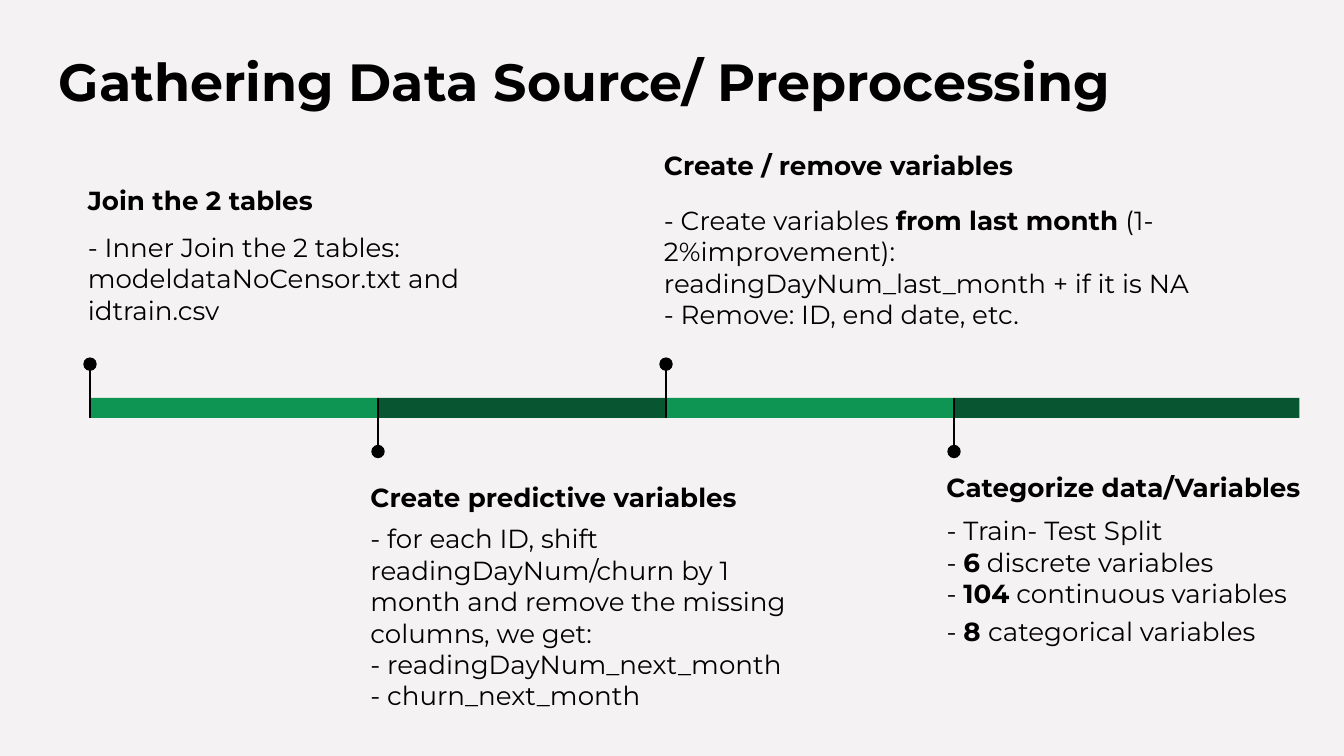
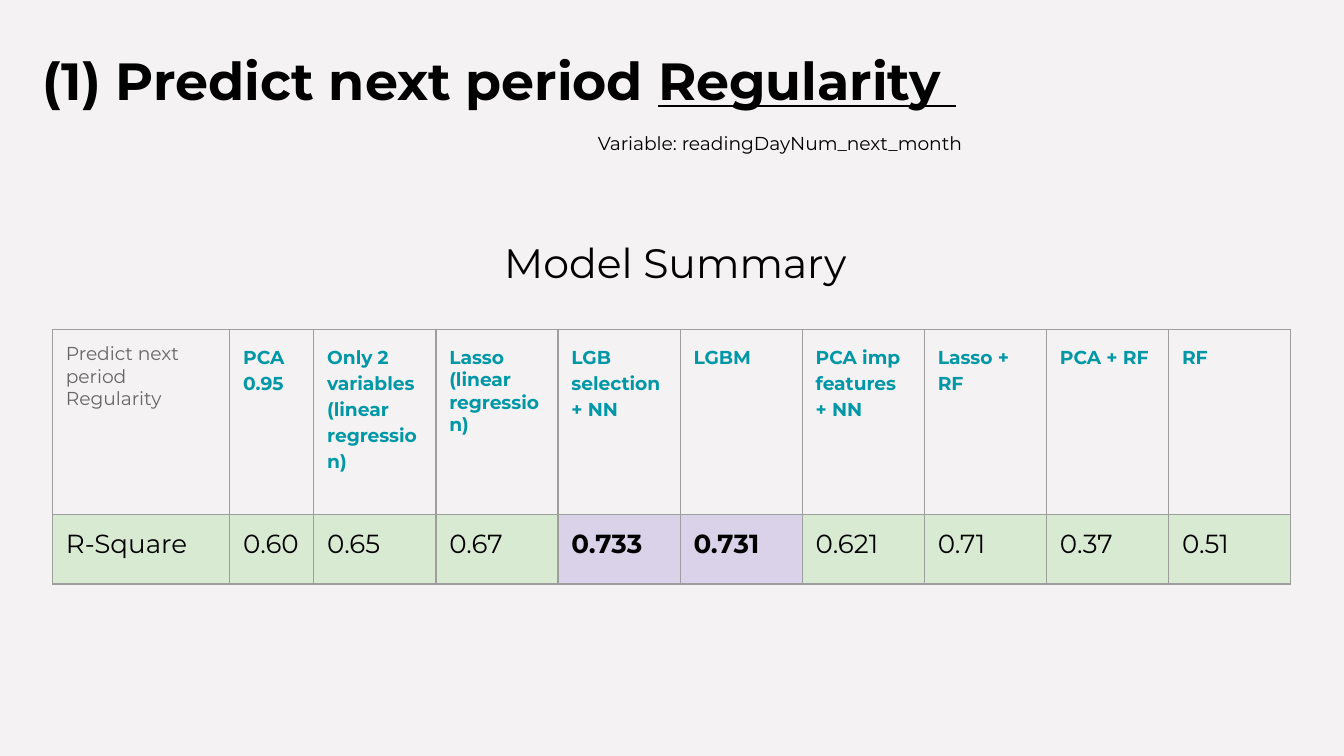
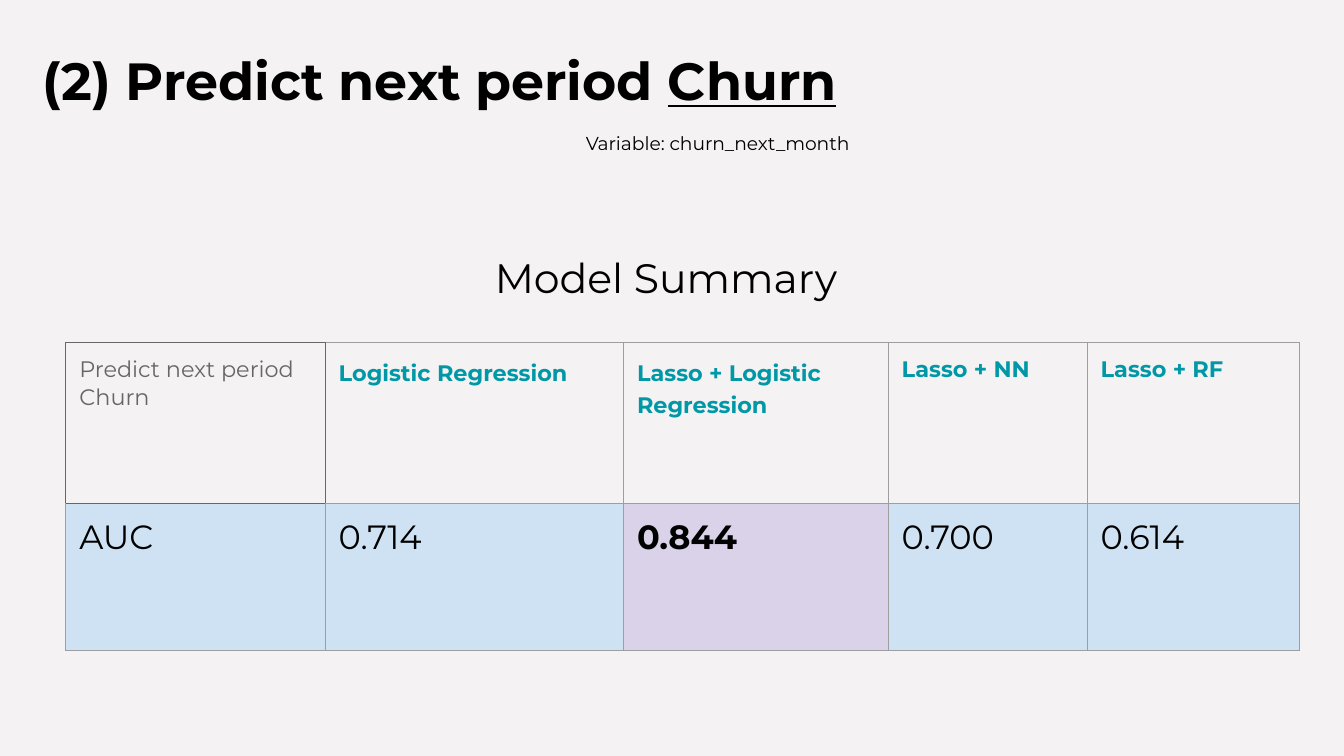
"""Build three slides on preprocessing steps and model results."""
from dataclasses import dataclass

from lxml.etree import SubElement
from pptx import Presentation
from pptx.dml.color import RGBColor
from pptx.enum.shapes import MSO_CONNECTOR as CONN, MSO_SHAPE as SHAPE
from pptx.enum.text import PP_ALIGN as ALIGN
from pptx.oxml.ns import qn
from pptx.util import Inches, Pt

COLUMNS, ROWS = 100, 56.25
WIDTH, HEIGHT = Inches(10), Inches(5.625)
FONT = "Montserrat"

BACKGROUND = RGBColor(0xF4, 0xF2, 0xF2)
BLACK = RGBColor(0x00, 0x00, 0x00)
GRAY = RGBColor(0x66, 0x66, 0x66)
BORDER = RGBColor(0x9E, 0x9E, 0x9E)
TEAL = RGBColor(0x00, 0x97, 0xA7)
GREEN = RGBColor(0x0E, 0x94, 0x53)
DARK_GREEN = RGBColor(0x08, 0x56, 0x31)
PALE_GREEN = RGBColor(0xD9, 0xEA, 0xD3)
PALE_BLUE = RGBColor(0xCF, 0xE2, 0xF3)
LAVENDER = RGBColor(0xD9, 0xD2, 0xE9)

BAR_LEFT, BAR_TOP, BAR_HEIGHT = 6.7, 29.6, 1.5
STAGE_STEP, LAST_STAGE = 21.43, 25.7
DOT, PIN_REACH = 1, 2.5
EDGES = ("lnL", "lnR", "lnT", "lnB")


@dataclass(frozen=True)
class Para:
    text: str
    spacing: float = 1.0


@dataclass(frozen=True)
class Style:
    size: float
    color: RGBColor = BLACK
    bold: bool = False
    underline_marked: bool = False
    align: ALIGN = ALIGN.LEFT


@dataclass(frozen=True)
class Stage:
    heading: str
    body: list[Para]
    heading_row: float
    body_row: float
    heading_width: float
    body_width: float


@dataclass(frozen=True)
class Results:
    title: str
    title_width: float
    variable: str
    variable_col: float
    summary_at: tuple[float, float]
    table_at: tuple[float, float]
    col_widths: list[float]
    row_heights: tuple[float, float]
    corner: str
    corner_border: RGBColor
    models: list[list[Para]]
    scores: list[str]
    best: set[int]
    fill: RGBColor
    header_size: float
    score_size: float


TITLE = Style(28, bold=True, underline_marked=True)
HEADING = Style(14, bold=True)
BODY = Style(14)
NOTE = Style(10)
SUMMARY = Style(22, align=ALIGN.CENTER)

STAGES = [
    Stage("Join the 2 tables",
          [Para("- Inner Join the 2 tables: modeldataNoCensor.txt and idtrain.csv")],
          12.7, 16.2, 22.6, 30),
    Stage("Create predictive variables",
          [Para("- for each ID, shift readingDayNum/churn by 1 month "
                "and remove the missing columns, we get:"),
           Para("- readingDayNum_next_month"),
           Para("- churn_next_month")],
          34.8, 37.9, 35.1, 33.7),
    Stage("Create / remove variables",
          [Para("- Create variables |from last month| (1-2%improvement): "
                "readingDayNum_last_month + if it is NA"),
           Para("- Remove: ID, end date, etc.")],
          10.1, 14.2, 38.1, 45.8),
    Stage("Categorize data/Variables",
          [Para("- Train- Test Split"),
           Para("- |6| discrete variables"),
           Para("- |104| continuous variables"),
           Para("- |8 |categorical variables", 1.21)],
          34.1, 37.3, 31.3, 29.1),
]

REGULARITY = Results(
    "(1) Predict next period |Regularity |", 70.9,
    "Variable: readingDayNum_next_month", 43.5, (15.2, 16.7), (3.9, 24.5),
    [13.2, 6.25] + [9.09] * 8, (13.8, 5.15),
    "Predict next period Regularity", BORDER,
    [[Para("PCA 0.95", 1.15)],
     [Para("Only 2 variables", 1.15), Para("(linear regression)", 1.15)],
     [Para("Lasso", 1.15), Para("(linear regression)")],
     [Para("LGB selection", 1.15), Para("+ NN", 1.15)],
     [Para("LGBM", 1.15)],
     [Para("PCA imp features + NN", 1.15)],
     [Para("Lasso + RF", 1.15)],
     [Para("PCA + RF", 1.15)],
     [Para("RF", 1.15)]],
    ["R-Square", "0.60", "0.65", "0.67", "0.733", "0.731", "0.621",
     "0.71", "0.37", "0.51"],
    {4, 5}, PALE_GREEN, 10, 14)

CHURN = Results(
    "(2) Predict next period |Churn|", 70.9,
    "Variable: churn_next_month", 42.6, (14.5, 17.8), (4.9, 25.5),
    [19.3, 22.2, 19.7, 14.8, 15.8], (11.95, 10.95),
    "Predict next period Churn", GRAY,
    [[Para("Logistic Regression", 1.15)],
     [Para("Lasso + Logistic Regression", 1.15)],
     [Para("Lasso + NN")],
     [Para("Lasso + RF")]],
    ["AUC", "0.714", "0.844", "0.700", "0.614"],
    {2}, PALE_BLUE, 12, 18)


def col(n: float) -> int:
    """Width of n grid columns."""
    return round(WIDTH * n / COLUMNS)


def row(n: float) -> int:
    """Height of n grid rows."""
    return round(HEIGHT * n / ROWS)


def write(tf, paras: list[Para], style: Style) -> None:
    """Fill a text frame; text between bars is emphasised."""
    for i, para in enumerate(paras):
        p = tf.add_paragraph() if i else tf.paragraphs[0]
        p.alignment = style.align
        p.line_spacing = para.spacing
        for j, part in enumerate(para.text.split("|")):
            if not part:
                continue
            marked = j % 2 == 1
            r = p.add_run()
            r.text = part
            r.font.name = FONT
            r.font.size = Pt(style.size)
            r.font.color.rgb = style.color
            r.font.bold = style.bold or marked
            r.font.underline = marked and style.underline_marked


def add_text(shapes, x: float, y: float, w: float, h: float,
             paras: list[Para], style: Style) -> None:
    """Add a wrapped text box."""
    tf = shapes.add_textbox(col(x), row(y), col(w), row(h)).text_frame
    tf.word_wrap = True
    tf.margin_left = tf.margin_right = col(1)
    tf.margin_top = tf.margin_bottom = row(1)
    write(tf, paras, style)


def add_block(shapes, kind: SHAPE, x: float, y: float, w: float, h: float,
              color: RGBColor) -> None:
    """Add a plain filled shape."""
    sp = shapes.add_shape(kind, col(x), row(y), col(w), row(h))
    sp.shadow.inherit = False
    sp.fill.solid()
    sp.fill.fore_color.rgb = color
    sp.line.fill.background()


def add_stage(s, index: int, stage: Stage) -> None:
    """Add one timeline stage, pinned above or below the bar in turn."""
    shapes = s.shapes.add_group_shape().shapes
    below = index % 2 == 1
    x = BAR_LEFT + index * STAGE_STEP
    width = LAST_STAGE if index == len(STAGES) - 1 else STAGE_STEP
    bar_bottom = BAR_TOP + BAR_HEIGHT
    far = bar_bottom + PIN_REACH if below else BAR_TOP - PIN_REACH
    near = BAR_TOP if below else bar_bottom
    text_x = x - (1.55 if below else 1.15)
    add_block(shapes, SHAPE.RECTANGLE, x, BAR_TOP, width, BAR_HEIGHT,
              DARK_GREEN if below else GREEN)
    pin = shapes.add_connector(CONN.STRAIGHT, col(x), row(far), col(x), row(near))
    pin.line.color.rgb = BLACK
    pin.line.width = Pt(0.75)
    SubElement(pin.element.spPr, qn("a:effectLst"))
    add_block(shapes, SHAPE.OVAL, x - DOT / 2, far - DOT / 2, DOT, DOT, BLACK)
    add_text(shapes, text_x, stage.heading_row, stage.heading_width, 4.1,
             [Para(stage.heading)], HEADING)
    add_text(shapes, text_x, stage.body_row, stage.body_width, 10.3,
             stage.body, BODY)


def set_border(cell, edge: str, color: RGBColor) -> None:
    """Draw one edge of a table cell."""
    ln = SubElement(cell._tc.get_or_add_tcPr(), qn(f"a:{edge}"), w=str(Pt(0.75)))
    fill = SubElement(ln, qn("a:solidFill"))
    SubElement(fill, qn("a:srgbClr"), val=str(color))


def add_results_table(s, res: Results) -> None:
    """Add the table of models and their scores."""
    x, y = res.table_at
    table = s.shapes.add_table(2, len(res.col_widths), col(x), row(y),
                               col(sum(res.col_widths)),
                               row(sum(res.row_heights))).table
    table.first_row = table.horz_banding = False
    for column, width in zip(table.columns, res.col_widths):
        column.width = col(width)
    for line, height in zip(table.rows, res.row_heights):
        line.height = row(height)
    corner_edges = {(0, 0): EDGES, (0, 1): ("lnL",), (1, 0): ("lnT",)}
    header = [[Para(res.corner)], *res.models]
    for i in range(2):
        for j in range(len(header)):
            cell = table.cell(i, j)
            cell.margin_left = cell.margin_right = col(1)
            cell.margin_top = cell.margin_bottom = row(1)
            for edge in EDGES:
                at_corner = edge in corner_edges.get((i, j), ())
                set_border(cell, edge, res.corner_border if at_corner else BORDER)
            best = j in res.best
            if i == 0:
                cell.fill.background()
                style = Style(res.header_size, TEAL if j else GRAY, bold=j > 0)
                write(cell.text_frame, header[j], style)
            else:
                cell.fill.solid()
                cell.fill.fore_color.rgb = LAVENDER if best else res.fill
                write(cell.text_frame, [Para(res.scores[j])],
                      Style(res.score_size, bold=best))


def add_slide(prs, title: str, x: float, y: float, width: float):
    """Add a blank slide with the shared background and title."""
    s = prs.slides.add_slide(prs.slide_layouts[6])
    s.background.fill.solid()
    s.background.fill.fore_color.rgb = BACKGROUND
    add_text(s.shapes, x, y, width, 7.4, [Para(title)], TITLE)
    return s


def add_timeline_slide(prs) -> None:
    """Add the preprocessing timeline."""
    s = add_slide(prs, "Gathering Data Source/ Preprocessing", 3.4, 2.7, 85.7)
    for index, stage in enumerate(STAGES):
        add_stage(s, index, stage)


def add_results_slide(prs, res: Results) -> None:
    """Add a slide with one model comparison."""
    s = add_slide(prs, res.title, 2.2, 2.6, res.title_width)
    add_results_table(s, res)
    add_text(s.shapes, res.variable_col, 8.6, 32.8, 4,
             [Para(res.variable, 1.15)], NOTE)
    add_text(s.shapes, *res.summary_at, 70.9, 6.4, [Para("Model Summary ")], SUMMARY)


def main() -> None:
    """Build and save the presentation."""
    prs = Presentation()
    prs.slide_width, prs.slide_height = WIDTH, HEIGHT
    add_timeline_slide(prs)
    for res in (REGULARITY, CHURN):
        add_results_slide(prs, res)
    prs.save("out.pptx")


if __name__ == "__main__":
    main()
